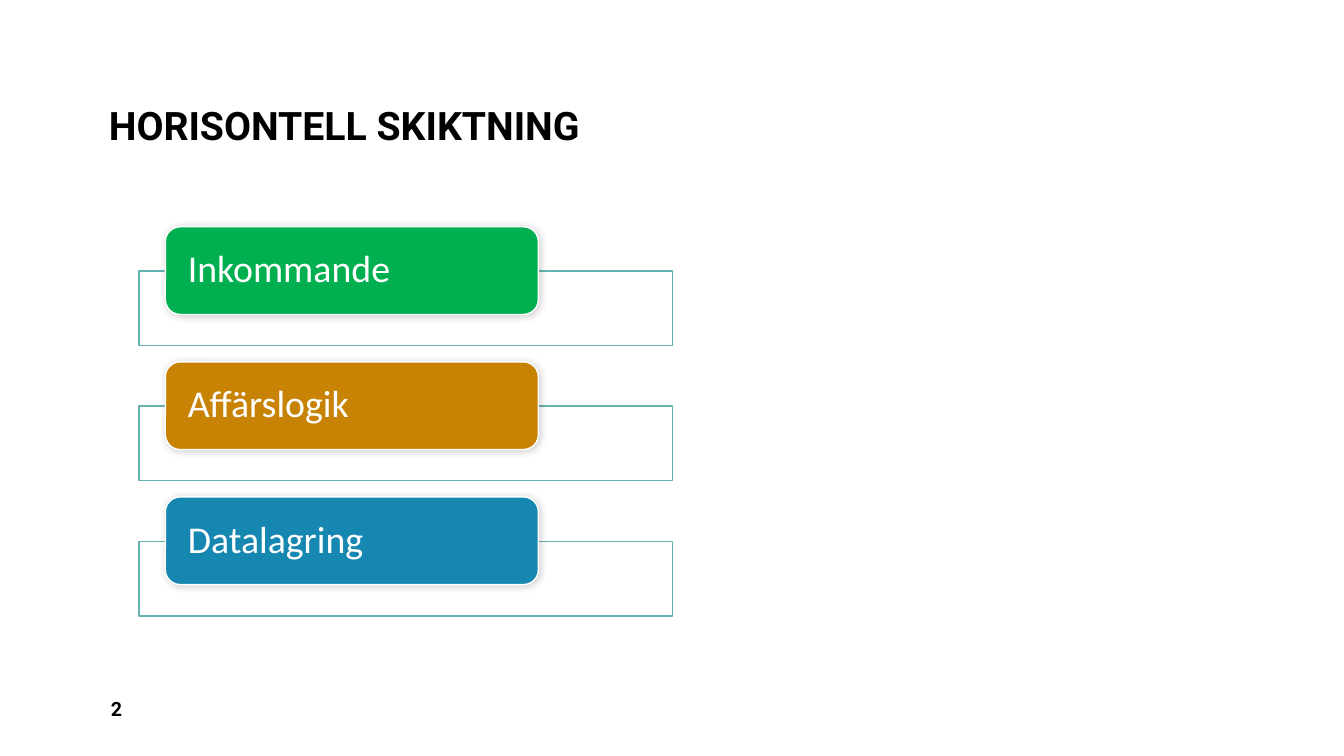
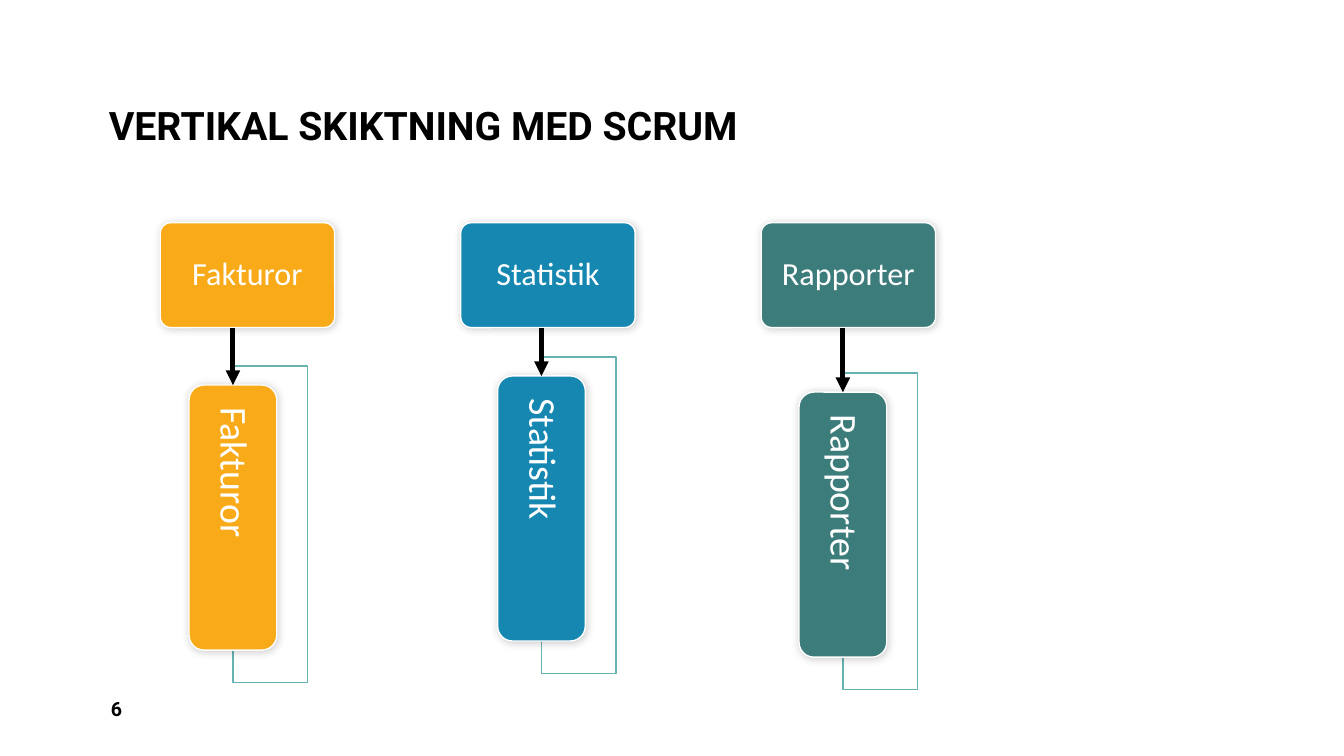
from lxml.etree import SubElement
from pptx import Presentation
from pptx.dml.color import RGBColor
from pptx.enum.shapes import MSO_CONNECTOR, MSO_SHAPE
from pptx.enum.text import MSO_ANCHOR, MSO_AUTO_SIZE, PP_ALIGN
from pptx.oxml.ns import qn
from pptx.util import Inches, Pt

BLACK = RGBColor(0x00, 0x00, 0x00)
WHITE = RGBColor(0xFF, 0xFF, 0xFF)
GREEN = RGBColor(0x00, 0xB0, 0x50)
OCHRE = RGBColor(0xC8, 0x83, 0x05)
BLUE = RGBColor(0x15, 0x87, 0xB1)
AMBER = RGBColor(0xF9, 0xAA, 0x19)
TEAL = RGBColor(0x3C, 0x7C, 0x7B)
OUTLINE = RGBColor(0x66, 0xB2, 0xB0)

HEAD_FONT, BODY_FONT = "Roboto", "Calibri"

LAYERS = [("Inkommande", GREEN), ("Affärslogik", OCHRE), ("Datalagring", BLUE)]
LAYER_TOP, LAYER_PITCH = 2.25, 1.34

COLUMNS = [
    ("Fakturor", AMBER, 2.31, 3.82),
    ("Statistik", BLUE, 5.37, 3.73),
    ("Rapporter", TEAL, 8.36, 3.89),
]
HEADER_LEFT, HEADER_TOP, HEADER_PITCH = 1.59, 2.21, 2.98
HEADER_W, HEADER_H = 1.73, 1.04
BAR_LENGTH, BAR_THICKNESS = 2.63, 0.87
FRAME_LONG, FRAME_SHORT = 3.14, 0.74


def write(tf, text, size, color, font, bold=False, align=PP_ALIGN.LEFT,
          anchor=MSO_ANCHOR.MIDDLE, spacing=0.9):
    tf.word_wrap = True
    tf.auto_size = MSO_AUTO_SIZE.NONE
    tf.vertical_anchor = anchor
    p = tf.paragraphs[0]
    p.alignment = align
    p.line_spacing = spacing
    r = p.add_run()
    r.text = text
    r.font.size, r.font.name, r.font.bold = Pt(size), font, bold
    r.font.color.rgb = color
    return r


def add_shadow(effects):
    shadow = SubElement(effects, qn("a:outerShdw"), blurRad=str(Pt(6)), dist=str(Pt(1)),
                        dir="2700000", algn="ctr", rotWithShape="0")
    color = SubElement(shadow, qn("a:srgbClr"), val="000000")
    SubElement(color, qn("a:alpha"), val="20000")


def add_box(s, kind, left, top, width, height, fill, line):
    box = s.shapes.add_shape(kind, Inches(left), Inches(top), Inches(width), Inches(height))
    box.fill.solid()
    box.fill.fore_color.rgb = fill
    box.line.color.rgb = line
    box.line.width = Pt(1)
    box.shadow.inherit = False
    return box


def add_frame(s, left, top, width, height):
    frame = add_box(s, MSO_SHAPE.RECTANGLE, left, top, width, height, WHITE, OUTLINE)
    color = frame._element.spPr.find(qn("a:solidFill")).find(qn("a:srgbClr"))
    SubElement(color, qn("a:alpha"), val="90000")


def add_card(s, left, top, width, height, fill, text, size, inset,
             align=PP_ALIGN.LEFT, radius=0.17):
    card = add_box(s, MSO_SHAPE.ROUNDED_RECTANGLE, left, top, width, height, fill, WHITE)
    card.adjustments[0] = radius
    add_shadow(card._element.spPr.find(qn("a:effectLst")))
    tf = card.text_frame
    tf.margin_left = tf.margin_right = Inches(inset)
    tf.margin_top = tf.margin_bottom = Inches(0.04)
    write(tf, text, size, WHITE, BODY_FONT, align=align)
    return card


def add_arrow(s, x, top, bottom):
    arrow = s.shapes.add_connector(MSO_CONNECTOR.STRAIGHT, Inches(x), Inches(top),
                                   Inches(x), Inches(bottom))
    arrow.line.color.rgb = BLACK
    arrow.line.width = Pt(3.5)
    SubElement(arrow.line._get_or_add_ln(), qn("a:tailEnd"), type="triangle")
    SubElement(arrow._element.spPr, qn("a:effectLst"))


def add_titled_slide(prs, title, number, shadowed=False):
    s = prs.slides.add_slide(prs.slide_layouts[5])
    sp = s.shapes.title
    sp.left, sp.top, sp.width, sp.height = (Inches(v) for v in (0.98, 0.08, 9.07, 1.45))
    r = write(sp.text_frame, title, 28, BLACK, HEAD_FONT, True, anchor=MSO_ANCHOR.BOTTOM)
    if shadowed:
        effects = SubElement(r.font._element, qn("a:effectLst"))
        r.font._element.find(qn("a:solidFill")).addnext(effects)
        add_shadow(effects)
    box = s.shapes.add_textbox(Inches(1), Inches(6.83), Inches(2.92), Inches(0.4))
    write(box.text_frame, number, 14, BLACK, HEAD_FONT, True, spacing=1.0)
    return s


def build_horizontal(prs):
    s = add_titled_slide(prs, "HORISONTELL SKIKTNING", "2")
    for i, (name, color) in enumerate(LAYERS):
        top = LAYER_TOP + i * LAYER_PITCH
        add_frame(s, 1.38, top + 0.44, 5.29, FRAME_SHORT)
        add_card(s, 1.64, top, 3.7, 0.87, color, name, 27, 0.18)


def build_vertical(prs):
    s = add_titled_slide(prs, "VERTIKAL SKIKTNING MED SCRUM", "6", shadowed=True)
    for i, (name, color, center, bar_top) in enumerate(COLUMNS):
        add_card(s, HEADER_LEFT + i * HEADER_PITCH, HEADER_TOP, HEADER_W, HEADER_H,
                 color, name, 23, 0.13, PP_ALIGN.CENTER, 0.1)
        add_frame(s, center, bar_top - 0.19, FRAME_SHORT, FRAME_LONG)
        bar = add_card(s, center - BAR_LENGTH / 2,
                       bar_top + (BAR_LENGTH - BAR_THICKNESS) / 2,
                       BAR_LENGTH, BAR_THICKNESS, color, name, 27, 0.18)
        bar.rotation = 90
        add_arrow(s, center, HEADER_TOP + HEADER_H, bar_top)


def main():
    prs = Presentation()
    prs.slide_width, prs.slide_height = Inches(13.33), Inches(7.5)
    build_horizontal(prs)
    build_vertical(prs)
    prs.save("out.pptx")


if __name__ == "__main__":
    main()
